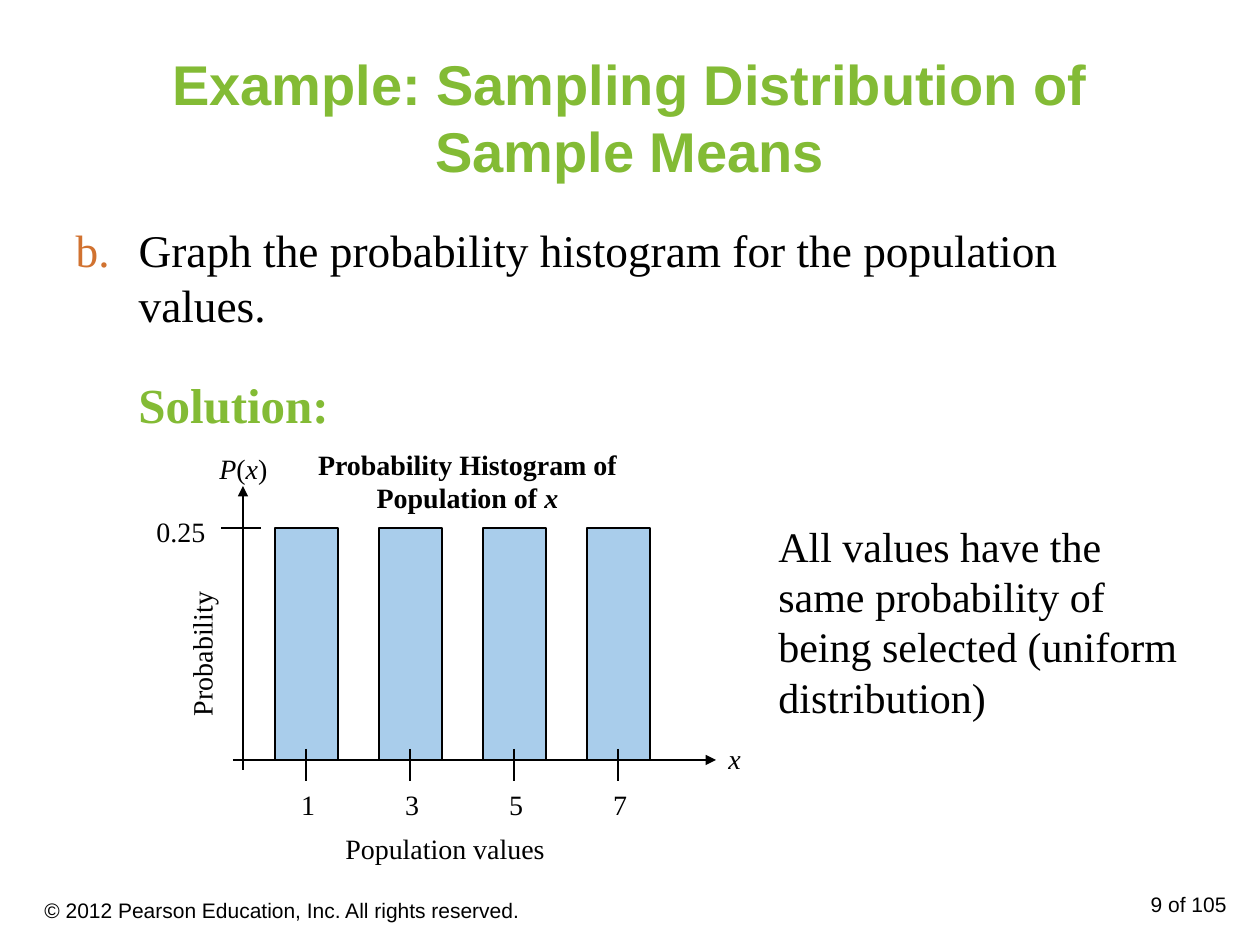
from pptx import Presentation
from pptx.dml.color import RGBColor as Rgb
from pptx.enum.shapes import MSO_CONNECTOR as Conn, MSO_SHAPE as Kind
from pptx.enum.text import MSO_ANCHOR as Anchor, MSO_AUTO_SIZE as Auto, PP_ALIGN as Align
from pptx.oxml import parse_xml
from pptx.oxml.ns import nsdecls, qn
from pptx.util import Pt
from lxml.etree import SubElement as Sub

HUES = {"green": "83BB35", "rust": "D17230", "ink": "000000", "blue": "71ADDF"}
SERIF, SANS = "Times New Roman", "Arial"


def px(n):
    return round(n * 914400 / 126)


def hue(name):
    return Rgb.from_string(HUES[name])


def place(shape, box):
    for key, val in zip(("left", "top", "width", "height"), box):
        setattr(shape, key, px(val))


def write(shape, runs, size, face=SERIF, color="ink", align=Align.LEFT,
          anchor=Anchor.TOP, wrap=True, **style):
    """Fill a shape with one paragraph; runs are (text, italic) pairs."""
    frame = shape.text_frame
    for key, val in {"auto_size": Auto.NONE, "word_wrap": wrap,
                     "vertical_anchor": anchor}.items():
        setattr(frame, key, val)
    para = frame.paragraphs[0]
    para.alignment = align
    para.space_before = Pt(0)
    if isinstance(runs, str):
        runs = [(runs, False)]
    for text, slant in runs:
        run = para.add_run()
        run.text = text
        look = {"name": face, "size": Pt(size), "italic": slant, **style}
        for key, val in look.items():
            setattr(run.font, key, val)
        run.font.color.rgb = hue(color)
    return para


def label(slide, box, runs, size=16, **look):
    shape = slide.shapes.add_textbox(*map(px, box))
    write(shape, runs, size, **look)
    return shape


def rule(slide, x1, y1, x2, y2, arrow=False):
    line = slide.shapes.add_connector(Conn.STRAIGHT, *map(px, (x1, y1, x2, y2)))
    line.line.color.rgb = hue("ink")
    line.line.width = Pt(0.75)
    if arrow:
        Sub(line.line._get_or_add_ln(), qn("a:tailEnd"), type="triangle")
    line._element.spPr.append(parse_xml(f"<a:effectLst {nsdecls('a')}/>"))


def head(slide, box):
    title = slide.shapes.title
    place(title, box)
    write(title, "Example: Sampling Distribution of Sample Means", 32, face=SANS,
          color="green", align=Align.CENTER, anchor=Anchor.MIDDLE, bold=True)


def task(slide, box):
    body = slide.placeholders[1]
    place(body, box)
    para = write(body, "Graph the probability histogram for the population values.", 25.9)
    # Lettered list that starts at b
    props = para._p.get_or_add_pPr()
    props.set("marL", str(px(63)))
    props.set("indent", str(px(-63)))
    Sub(Sub(props, qn("a:buClr")), qn("a:srgbClr"), val=HUES["rust"])
    Sub(props, qn("a:buFont"), typeface=SERIF)
    Sub(props, qn("a:buAutoNum"), type="alphaLcPeriod", startAt="2")


def bar(slide, x, y, w, h, name):
    rect = slide.shapes.add_shape(Kind.RECTANGLE, *map(px, (x, y, w, h)))
    rect.shadow.inherit = False
    rect.fill.solid()
    rect.fill.fore_color.rgb = hue("blue")
    tint = rect._element.spPr.find(qn("a:solidFill"))[0]
    Sub(tint, qn("a:alpha"), val="60000")
    rect.line.color.rgb = hue("ink")
    rect.line.width = Pt(0.75)
    # Tick and value under the bar
    mid, base = x + w // 2, y + h
    rule(slide, mid, base - 11, mid, base + 21)
    label(slide, (mid - 40, base + 21, 84, 47), name, align=Align.CENTER)


def graph(slide, box):
    x, y, w, h = box
    base, top = y + 319, y + 87
    # Axes
    rule(slide, x + 99, base + 10, x + 99, y + 45, arrow=True)
    rule(slide, x + 89, base, x + 572, base, arrow=True)
    rule(slide, x + 117, top, x + 77, top)
    # Bars
    for i, name in enumerate("1357"):
        bar(slide, x + 131 + 104 * i, top, 63, base - top, name)
    # Axis names
    label(slide, (x + 189, y + 384, 262, 47), "Population values")
    side = label(slide, (x - 26, y + 180, 168, 47), "Probability")
    side.rotation = 270
    label(slide, (x, y + 67, 105, 47), "0.25")
    label(slide, (x + 572, y + 294, 38, 47), [("x", True)], wrap=False)
    label(slide, (x + 63, y + 4, 73, 47),
          [("P", True), ("(", False), ("x", True), (")", False)], wrap=False)
    # Heading
    label(slide, (x + 157, y, 333, 81),
          [("Probability Histogram of Population of ", False), ("x", True)],
          align=Align.CENTER, bold=True)


def foot(slide, box):
    x, y, w, h = box
    label(slide, (x, y, 598, h), "© 2012 Pearson Education, Inc. All rights reserved.",
          12, face=SANS, anchor=Anchor.MIDDLE)
    label(slide, (x + w - 294, y, 294, h), "9 of 105", 12, face=SANS, align=Align.RIGHT)


def main():
    deck = Presentation()
    deck.slide_width, deck.slide_height = px(1260), px(945)
    slide = deck.slides.add_slide(deck.slide_layouts[1])
    head(slide, (63, 38, 1134, 157))
    task(slide, (63, 216, 1134, 126))
    label(slide, (126, 368, 252, 72), "Solution:", 28, color="green", bold=True)
    graph(slide, (144, 441, 610, 431))
    label(slide, (766, 514, 441, 214),
          "All values have the same probability of being selected (uniform distribution)", 24)
    foot(slide, (32, 885, 1207, 50))
    deck.save("out.pptx")


if __name__ == "__main__":
    main()
